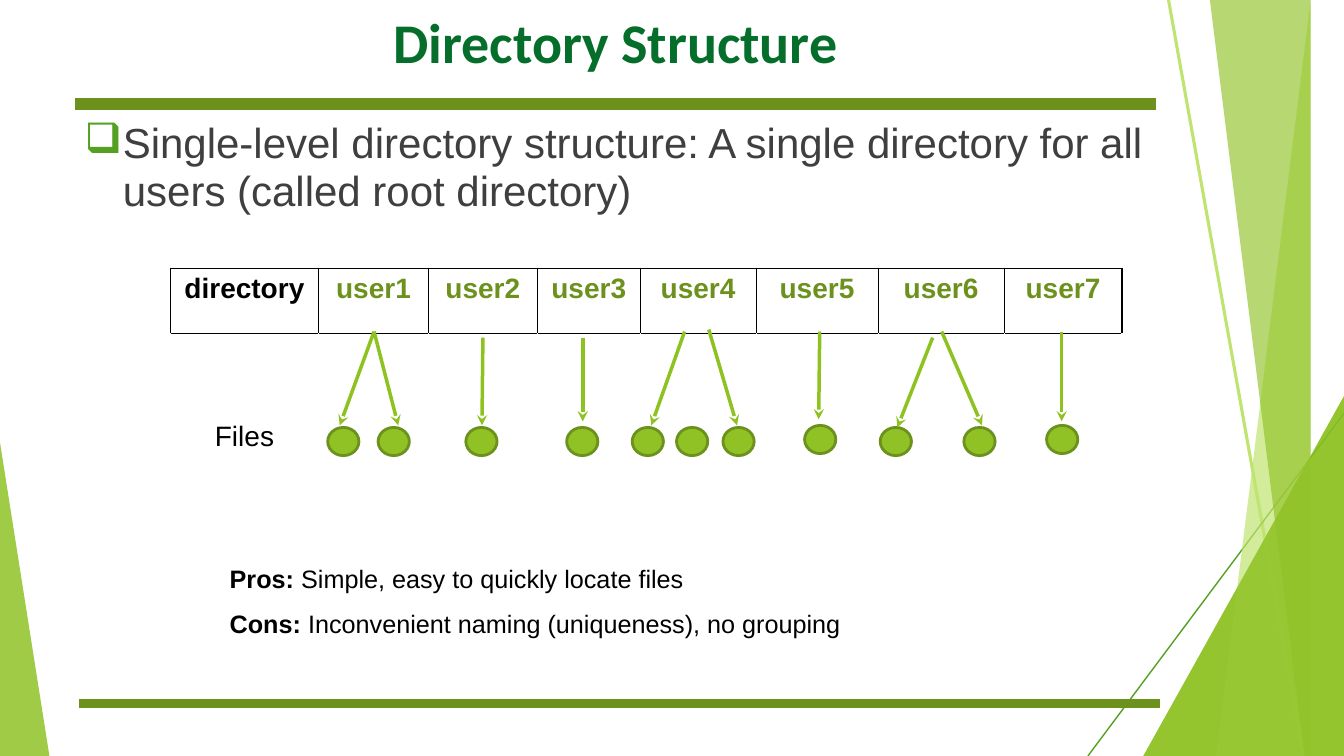
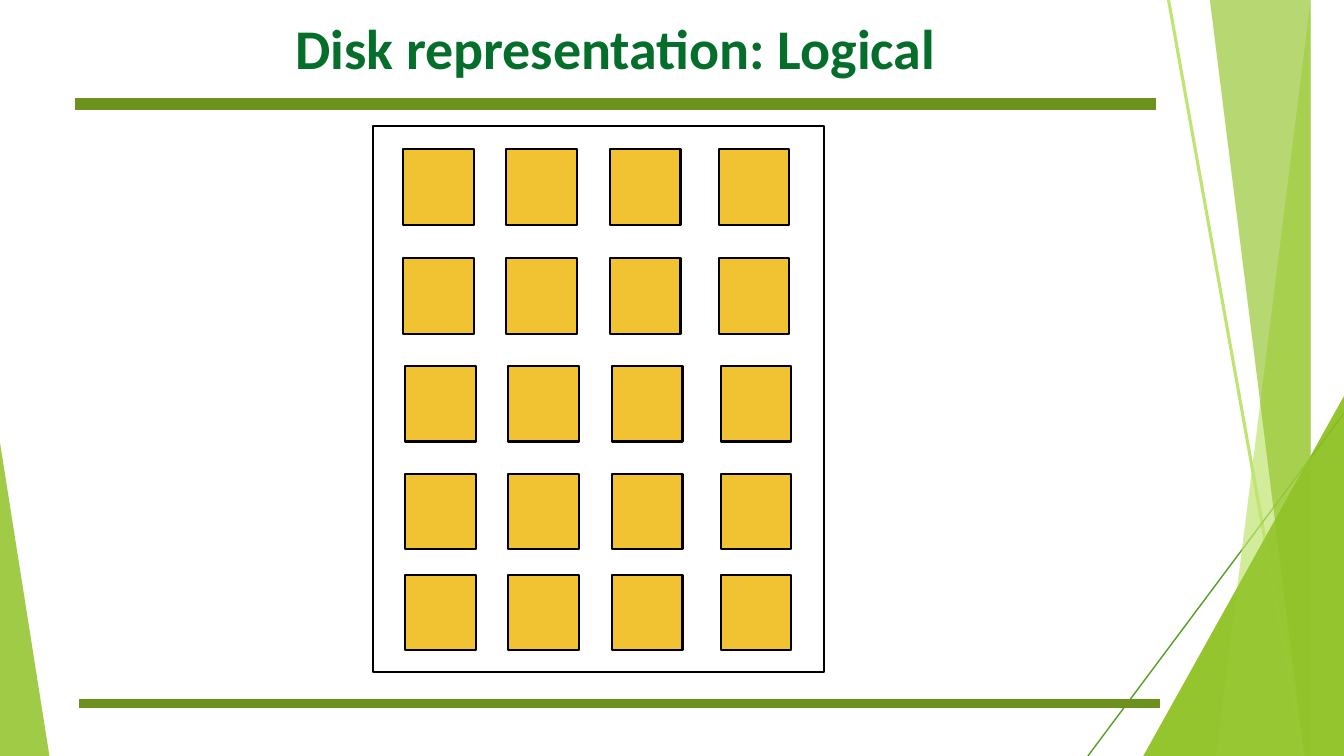
from dataclasses import dataclass

from lxml.etree import SubElement
from pptx import Presentation
from pptx.dml.color import RGBColor
from pptx.enum.shapes import MSO_CONNECTOR, MSO_SHAPE
from pptx.enum.text import MSO_ANCHOR, PP_ALIGN
from pptx.oxml.ns import qn
from pptx.util import Inches, Pt


@dataclass(frozen=True)
class Theme:
    green: str = "90C226"
    light_green: str = "BFE471"
    deep_green: str = "54A021"
    rule: str = "6C911C"
    arrow: str = "8EC221"
    title: str = "056E2B"
    body: str = "3F3F3F"
    black: str = "000000"
    white: str = "FFFFFF"
    block: str = "F1C232"
    title_font: str = "Calibri"
    body_font: str = "Arial"
    title_size: int = 40
    body_size: int = 30
    table_size: int = 20
    note_size: int = 18


@dataclass(frozen=True)
class Box:
    left: float
    top: float
    width: float
    height: float

    def inches(self):
        return [Inches(v) for v in (self.left, self.top, self.width, self.height)]


THEME = Theme()
PAGE = Box(0, 0, 13.33, 7.5)
TITLE_BOX = Box(0.74, 0.03, 10.73, 1.01)
BODY_BOX = Box(0.74, 1.15, 10.73, 1.2)
DIRECTORY_BOX = Box(1.69, 2.66, 9.44, 2.29)
NOTES_BOX = Box(2.18, 5.49, 7.84, 0.96)
DISK_BOX = Box(3.7, 1.25, 4.47, 5.42)

COLUMN_WIDTHS = (1.47, 1.09, 1.08, 1.02, 1.15, 1.21, 1.25, 1.17)
ROW_HEIGHTS = (0.65, 0.41, 0.41, 0.41, 0.41)
FILES_ROW = 3

# Per user: top of the files, their left edges, and arrows (from x, y, to x, y)
USER_FILES = {
    "user1": (1.58, (1.56, 2.06), ((2.02, 0.63, 1.68, 1.56), (2.02, 0.63, 2.26, 1.56))),
    "user2": (1.58, (2.93,), ((3.1, 0.69, 3.09, 1.56),)),
    "user3": (1.58, (3.93,), ((4.09, 0.69, 4.09, 1.52),)),
    "user4": (1.58, (4.58, 5.02, 5.48),
              ((5.1, 0.63, 4.77, 1.56), (5.34, 0.61, 5.62, 1.56))),
    "user5": (1.56, (6.29,), ((6.44, 0.63, 6.43, 1.5),)),
    "user6": (1.58, (7.04, 7.87), ((7.56, 0.69, 7.21, 1.58), (7.65, 0.63, 8.05, 1.56))),
    "user7": (1.56, (8.69,), ((8.84, 0.63, 8.84, 1.52),)),
}
NOTES = (
    ("Pros: ", "Simple, easy to quickly locate files"),
    ("Cons: ", "Inconvenient naming (uniqueness), no grouping"),
)
# Block rows: top and left shift; block columns: left
BLOCK_ROWS = ((0.23, 0), (1.31, 0), (2.38, 0.02), (3.45, 0.02), (4.45, 0.02))
BLOCK_COLUMNS = (0.3, 1.32, 2.35, 3.43)


# Drawing helpers
def paint(shape, fill=None, line=None, width=1.5, alpha=None):
    shape.shadow.inherit = False
    if fill:
        shape.fill.solid()
        shape.fill.fore_color.rgb = RGBColor.from_string(fill)
        if alpha:
            color = shape.element.spPr.find(qn("a:solidFill"))[0]
            SubElement(color, qn("a:alpha"), val=str(alpha * 1000))
    else:
        shape.fill.background()
    if line:
        shape.line.color.rgb = RGBColor.from_string(line)
        shape.line.width = Pt(width)
    else:
        shape.line.fill.background()


def add_preset(slide, preset, box, **style):
    shape = slide.shapes.add_shape(preset, *box.inches())
    paint(shape, **style)
    return shape


def add_line(slide, ends, color, width, arrow=False):
    line = slide.shapes.add_connector(MSO_CONNECTOR.STRAIGHT, *map(Inches, ends))
    line.line.color.rgb = RGBColor.from_string(color)
    line.line.width = Pt(width)
    properties = line.element.spPr
    if arrow:
        SubElement(properties.find(qn("a:ln")), qn("a:tailEnd"), type="stealth")
    SubElement(properties, qn("a:effectLst"))


def set_font(target, size, color, name=THEME.body_font, bold=None):
    target.font.name = name
    target.font.size = Pt(size)
    target.font.color.rgb = RGBColor.from_string(color)
    target.font.bold = bold


def add_text(slide, box, inset=0.05):
    frame = slide.shapes.add_textbox(*box.inches()).text_frame
    frame.word_wrap = True
    frame.vertical_anchor = MSO_ANCHOR.TOP
    frame.margin_left = frame.margin_right = Inches(0.1)
    frame.margin_top = frame.margin_bottom = Inches(inset)
    return frame.paragraphs[0]


# Shared background and title
def add_triangle(slide, box, apex, alpha):
    triangle = add_preset(slide, MSO_SHAPE.ISOSCELES_TRIANGLE, box,
                          fill=THEME.green, alpha=alpha)
    triangle.adjustments[0] = apex


def add_facet(slide, points, color, alpha):
    builder = slide.shapes.build_freeform(*points[0], scale=Inches(1))
    builder.add_line_segments(points[1:], close=True)
    paint(builder.convert_to_shape(), fill=color, alpha=alpha)


def add_background(slide, page):
    right, bottom = page.width, page.height
    corner = Box(right - 1.99, bottom - 3.57, 1.99, 3.57)
    add_triangle(slide, corner, 1, 80)
    add_triangle(slide, Box(0, bottom - 3.11, 0.49, 3.11), 0, 85)
    add_line(slide, (11.59, 0, 12.93, bottom), THEME.light_green, 2.25)
    add_line(slide, (right, 4.1, 10.79, bottom), THEME.deep_green, 1)
    add_facet(slide, ((13.03, 0), (right, 0), (right, bottom), (11.92, bottom)),
              THEME.light_green, 70)
    add_facet(slide, ((11.96, 0), (right, 0), (right, bottom), (13.18, bottom)),
              THEME.green, 65)
    add_triangle(slide, corner, 1, 80)
    add_line(slide, (11.47, 1.03, 0.74, 1.03), THEME.rule, 8.75)
    add_line(slide, (11.51, 6.98, 0.78, 6.98), THEME.rule, 6)


def add_title(slide, box, text, inset):
    title = add_text(slide, box, inset)
    title.text = text
    title.alignment = PP_ALIGN.CENTER
    set_font(title, THEME.title_size, THEME.title, THEME.title_font, True)


def start_slide(deck, title, inset):
    slide = deck.slides.add_slide(deck.slide_layouts[6])
    add_background(slide, PAGE)
    add_title(slide, TITLE_BOX, title, inset)
    return slide


# Directory slide
def add_statement(slide, box, text):
    statement = add_text(slide, box)
    statement.text = text
    statement.line_spacing = 0.94
    set_font(statement, THEME.body_size, THEME.body)
    properties = statement._p.get_or_add_pPr()
    properties.set("marL", str(Inches(0.38)))
    properties.set("indent", str(Inches(-0.46)))
    bullet_color = SubElement(properties, qn("a:buClr"))
    SubElement(bullet_color, qn("a:srgbClr"), val=THEME.deep_green)
    SubElement(properties, qn("a:buChar"), char="❑")


def set_borders(cell, sides):
    properties = cell._tc.get_or_add_tcPr()
    for side, color in sides.items():
        border = SubElement(properties, qn(f"a:ln{side}"), w=str(Pt(1)))
        fill = SubElement(border, qn("a:solidFill"))
        SubElement(fill, qn("a:srgbClr"), val=color)


def write_cell(cell, text, color, bold):
    label = cell.text_frame.paragraphs[0]
    label.text = text
    label.alignment = PP_ALIGN.CENTER
    set_font(label, THEME.table_size, color, bold=bold)


def add_directory_table(slide, box):
    table = slide.shapes.add_table(len(ROW_HEIGHTS), len(COLUMN_WIDTHS),
                                   *box.inches()).table
    table.first_row = table.horz_banding = False
    for column, width in zip(table.columns, COLUMN_WIDTHS):
        column.width = Inches(width)
    for index, (row, height) in enumerate(zip(table.rows, ROW_HEIGHTS)):
        row.height = Inches(height)
        side = THEME.white if index else THEME.black
        top = THEME.black if index < 2 else THEME.white
        for cell in row.cells:
            cell.margin_left = cell.margin_right = Inches(0.05)
            set_borders(cell, {"L": side, "R": side, "T": top, "B": side})
            cell.fill.background()
    write_cell(table.cell(0, 0), "directory", THEME.black, True)
    for column, user in enumerate(USER_FILES, 1):
        write_cell(table.cell(0, column), user, THEME.rule, True)
    write_cell(table.cell(FILES_ROW, 0), "Files", THEME.black, False)


def add_files(slide, box):
    for top, lefts, arrows in USER_FILES.values():
        for left in lefts:
            add_preset(slide, MSO_SHAPE.OVAL,
                       Box(box.left + left, box.top + top, 0.31, 0.28),
                       fill=THEME.green, line=THEME.rule, width=2)
        for x1, y1, x2, y2 in arrows:
            ends = (box.left + x1, box.top + y1, box.left + x2, box.top + y2)
            add_line(slide, ends, THEME.arrow, 2.5, arrow=True)


def add_notes(slide, box):
    for index, (heading, remark) in enumerate(NOTES):
        row = Box(box.left, box.top + index * 0.44, box.width, 0.52)
        note = add_text(slide, row, 0.1)
        set_font(note, THEME.note_size, THEME.black)
        for text, bold in ((heading, True), (remark, False)):
            run = note.add_run()
            run.text = text
            run.font.bold = bold


def build_directory_slide(deck):
    slide = start_slide(deck, "Directory Structure", 0.05)
    add_statement(slide, BODY_BOX, "Single-level directory structure: A single "
                  "directory for all users (called root directory)")
    add_notes(slide, NOTES_BOX)
    add_directory_table(slide, DIRECTORY_BOX)
    add_files(slide, DIRECTORY_BOX)


# Disk slide
def add_disk(slide, box):
    add_preset(slide, MSO_SHAPE.RECTANGLE, box, line=THEME.black)
    for top, shift in BLOCK_ROWS:
        for left in BLOCK_COLUMNS:
            block = Box(box.left + left + shift, box.top + top, 0.7, 0.75)
            add_preset(slide, MSO_SHAPE.RECTANGLE, block,
                       fill=THEME.block, line=THEME.black)


def build_disk_slide(deck):
    slide = start_slide(deck, "Disk representation: Logical", 0.1)
    add_disk(slide, DISK_BOX)


def main():
    deck = Presentation()
    deck.slide_width, deck.slide_height = Inches(PAGE.width), Inches(PAGE.height)
    build_directory_slide(deck)
    build_disk_slide(deck)
    deck.save("out.pptx")


if __name__ == "__main__":
    main()
